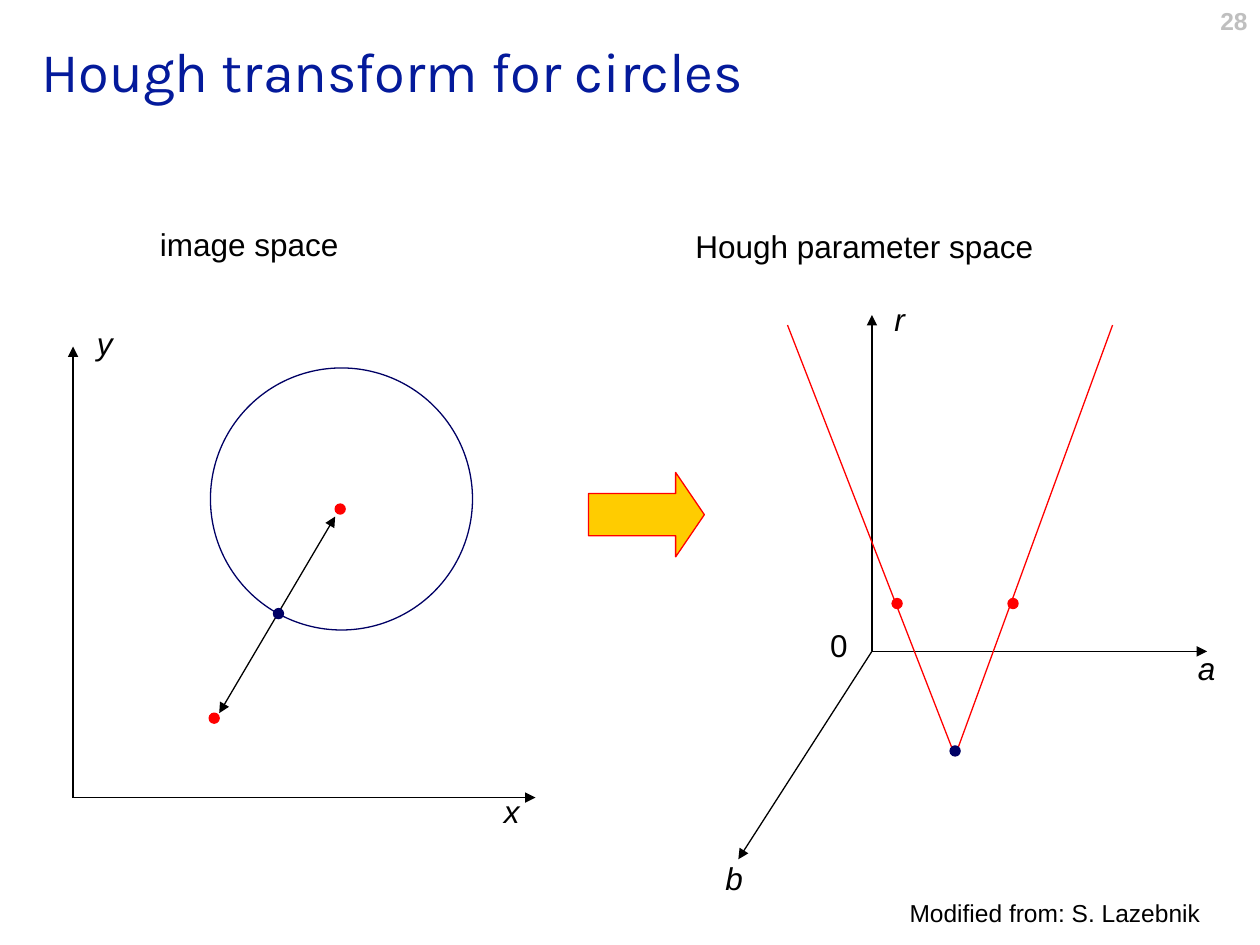
from pptx import Presentation
from pptx.dml.color import RGBColor
from pptx.enum.shapes import MSO_CONNECTOR, MSO_SHAPE
from pptx.enum.text import MSO_ANCHOR, PP_ALIGN
from pptx.oxml.ns import qn
from pptx.util import Inches, Pt
from lxml.etree import SubElement

BLACK = RGBColor(0x00, 0x00, 0x00)
GRAY = RGBColor(0xBF, 0xBF, 0xBF)
TITLE_BLUE = RGBColor(0x04, 0x1A, 0x9B)
NAVY = RGBColor(0x00, 0x00, 0x65)
RED = RGBColor(0xFF, 0x00, 0x00)
GOLD = RGBColor(0xFF, 0xCC, 0x00)

prs = Presentation()
prs.slide_width, prs.slide_height = Inches(10), Inches(7.5)
s = prs.slides.add_slide(prs.slide_layouts[6])


def add_text(text, x, y, w, h, size=18, font="Arial", color=BLACK, bold=False,
             italic=False, align=PP_ALIGN.LEFT, anchor=MSO_ANCHOR.TOP):
    tf = s.shapes.add_textbox(Inches(x), Inches(y), Inches(w), Inches(h)).text_frame
    tf.word_wrap = True
    tf.vertical_anchor = anchor
    p = tf.paragraphs[0]
    p.alignment = align
    r = p.add_run()
    r.text = text
    r.font.size, r.font.name = Pt(size), font
    r.font.bold, r.font.italic = bold, italic
    r.font.color.rgb = color


def add_line(start, end, color=BLACK, ends=()):
    x1, y1, x2, y2 = (Inches(v) for v in (*start, *end))
    line = s.shapes.add_connector(MSO_CONNECTOR.STRAIGHT, x1, y1, x2, y2)
    line.line.color.rgb = color
    line.line.width = Pt(0.75)
    for end_tag in ends:
        SubElement(line.line._get_or_add_ln(), qn(end_tag), type="triangle")
    SubElement(line._element.spPr, qn("a:effectLst"))


# Page number and title
add_text("28", 7.67, 0, 2.33, 0.4, size=14, color=GRAY, bold=True, align=PP_ALIGN.RIGHT)
add_text("Hough transform for circles", 0.23, 0.18, 9.54, 0.76, size=32, font="Karla",
         color=TITLE_BLUE, anchor=MSO_ANCHOR.MIDDLE)

# Axes of the image space and of the parameter space
image_origin, hough_origin = (0.58, 6.33), (6.92, 5.17)
for origin, tip in [
    (image_origin, (0.58, 2.75)),
    (image_origin, (4.25, 6.33)),
    (hough_origin, (6.92, 2.5)),
    (hough_origin, (9.58, 5.17)),
    (hough_origin, (5.86, 6.82)),
]:
    add_line(origin, tip, ends=["a:tailEnd"])

# Radius in both directions from the edge point
add_line((1.74, 5.66), (2.66, 4.1), ends=["a:headEnd", "a:tailEnd"])

# Cone outline in the parameter space
for top in [(8.83, 2.58), (6.25, 2.58)]:
    add_line((7.58, 6), top, color=RED)

# Circle, block arrow and points
DOT = 0.08
dots = [
    (2.17, 4.83, NAVY), (2.66, 4, RED), (1.66, 5.66, RED),
    (7.54, 5.92, NAVY), (8, 4.75, RED), (7.08, 4.75, RED),
]
shapes = [
    (MSO_SHAPE.OVAL, 1.67, 2.92, 2.08, 2.08, None, NAVY),
    (MSO_SHAPE.RIGHT_ARROW, 4.67, 3.75, 0.92, 0.67, GOLD, RED),
] + [(MSO_SHAPE.OVAL, x, y, DOT, DOT, color, color) for x, y, color in dots]
for kind, x, y, w, h, fill, outline in shapes:
    sp = s.shapes.add_shape(kind, Inches(x), Inches(y), Inches(w), Inches(h))
    sp.shadow.inherit = False
    if fill is None:
        sp.fill.background()
    else:
        sp.fill.solid()
        sp.fill.fore_color.rgb = fill
    sp.line.color.rgb = outline
    sp.line.width = Pt(0.75)
    if kind == MSO_SHAPE.RIGHT_ARROW:
        sp.adjustments[1] = 0.34

# Axis labels
for name, x, y in [("x", 3.9, 6.24), ("y", 0.67, 2.52), ("a", 9.41, 5.1),
                   ("b", 5.66, 6.77), ("r", 7, 2.33)]:
    add_text(name, x, y, 0.36, 0.4, italic=True)
add_text("0", 6.49, 4.92, 0.36, 0.4)

# Headings and credit
add_text("image space", 1.17, 1.74, 2.41, 0.57)
add_text("Hough parameter space", 5.42, 1.75, 4.38, 0.57)
add_text("Modified from: S. Lazebnik", 7.12, 7.08, 2.75, 0.34, size=14)

prs.save("out.pptx")
